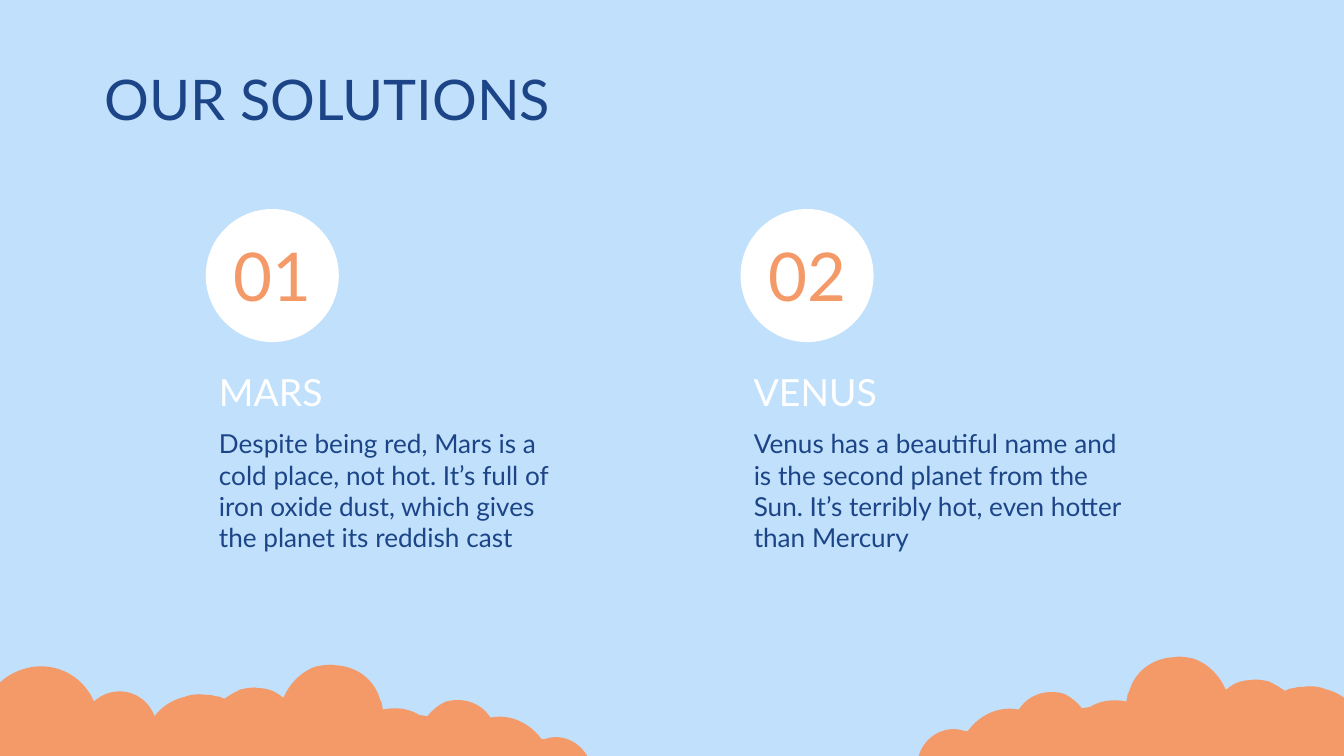
from dataclasses import dataclass
from math import cos, radians, sin

from lxml.etree import SubElement
from pptx import Presentation
from pptx.dml.color import RGBColor
from pptx.enum.shapes import MSO_SHAPE as Shape
from pptx.enum.text import MSO_ANCHOR as Anchor, PP_ALIGN as Align
from pptx.oxml.ns import qn
from pptx.util import Pt

COLORS = {"sky": "C1E0FB", "navy": "1C4587", "orange": "F49968", "white": "FFFFFF"}
FONT = "Lato"
INSET = 7.2
CIRCLE = 71.3


@dataclass(frozen=True)
class Solution:
    number: str
    name: str
    body: str
    left: float
    name_width: float
    body_width: float


@dataclass(frozen=True)
class Cloud:
    left: float
    top: float
    angle: float
    flip: int  # 1 as outlined, -1 mirrored


SOLUTIONS = [
    Solution("01", "MARS",
             "Despite being red, Mars is a cold place, not hot. It’s full of "
             "iron oxide dust, which gives the planet its reddish cast",
             110.2, 77, 206.6),
    Solution("02", "VENUS",
             "Venus has a beautiful name and is the second planet from the Sun. "
             "It’s terribly hot, even hotter than Mercury",
             396.7, 89.3, 215.3),
]

CLOUD_WIDTH, CLOUD_HEIGHT = 305.3, 160.6
RIGHT_CLOUD = Cloud(504, 313.2, 18, 1)
LEFT_CLOUD = Cloud(-0.7, 317.5, 342, -1)

# Cloud outline as it stands when tilted, in hundredths of an inch.
# Six numbers are a Bézier curve, two are a straight line.
OUTLINE_UNIT = 0.72
OUTLINE_TILT = 18
OUTLINE_CENTER = (912, 546.5)
OUTLINE_START = (1106, 492)
OUTLINE = [
    (1107, 492, 1108, 492, 1109, 493), (1130, 501, 1142, 525, 1135, 547),
    (1079, 718), (702, 595),
    (688, 590, 680, 575, 684, 561), (689, 547, 704, 539, 718, 544),
    (719, 544, 720, 544, 720, 544), (729, 532, 743, 525, 758, 528),
    (766, 516, 779, 513, 791, 516), (796, 518, 801, 522, 805, 527),
    (807, 527, 809, 526, 811, 526), (819, 521, 829, 520, 838, 522),
    (838, 521, 839, 519, 839, 517), (839, 517, 839, 516, 840, 515),
    (844, 500, 857, 490, 873, 489), (878, 488, 883, 489, 888, 490),
    (897, 493, 905, 500, 910, 509), (911, 510, 911, 512, 912, 513),
    (913, 513, 914, 512, 915, 511), (919, 508, 925, 506, 931, 506),
    (934, 505, 937, 506, 939, 506), (941, 506, 942, 507, 944, 507),
    (948, 509, 952, 511, 956, 514), (958, 513, 960, 512, 963, 512),
    (965, 511, 968, 511, 970, 511), (976, 510, 982, 511, 987, 513),
    (995, 515, 1003, 520, 1008, 527), (1013, 513, 1028, 505, 1043, 510),
    (1046, 511, 1050, 513, 1053, 516), (1062, 495, 1085, 485, 1106, 492),
]


def rgb(name: str) -> RGBColor:
    return RGBColor.from_string(COLORS[name])


def paint(sp, color: str) -> None:
    sp.fill.solid()
    sp.fill.fore_color.rgb = rgb(color)
    sp.line.fill.background()
    sp.shadow.inherit = False


def level_points(numbers: tuple, flip: int) -> list[tuple[int, int]]:
    """Turn tilted outline numbers into points in the level cloud's box."""
    turn = radians(OUTLINE_TILT)
    points = []
    for x, y in zip(numbers[::2], numbers[1::2]):
        dx = (x - OUTLINE_CENTER[0]) * OUTLINE_UNIT
        dy = (y - OUTLINE_CENTER[1]) * OUTLINE_UNIT
        points.append((Pt(CLOUD_WIDTH / 2 + flip * (dx * cos(turn) + dy * sin(turn))),
                       Pt(CLOUD_HEIGHT / 2 - dx * sin(turn) + dy * cos(turn))))
    return points


def add_cloud(slide, cloud: Cloud) -> None:
    start = level_points(OUTLINE_START, cloud.flip)
    segments = [level_points(numbers, cloud.flip) for numbers in OUTLINE]
    builder = slide.shapes.build_freeform(*start[0])
    builder.add_line_segments([points[-1] for points in segments], close=True)
    sp = builder.convert_to_shape()
    sp.left, sp.top = Pt(cloud.left), Pt(cloud.top)
    sp.width, sp.height = Pt(CLOUD_WIDTH), Pt(CLOUD_HEIGHT)
    sp.rotation = cloud.angle
    paint(sp, "orange")

    # Round the bumps: rewrite the outline with curves
    outline = next(sp._element.iter(qn("a:path")))
    for child in list(outline):
        outline.remove(child)
    outline.set("w", str(sp.width))
    outline.set("h", str(sp.height))
    for i, points in enumerate([start] + segments):
        tag = "a:moveTo" if i == 0 else "a:lnTo" if len(points) == 1 else "a:cubicBezTo"
        step = SubElement(outline, qn(tag))
        for x, y in points:
            SubElement(step, qn("a:pt"), x=str(int(x)), y=str(int(y)))
    SubElement(outline, qn("a:close"))


def add_text(slide, text: str, left: float, top: float, width: float, height: float,
             size: float, color: str, anchor=Anchor.BOTTOM, align=Align.LEFT) -> None:
    sp = slide.shapes.add_textbox(Pt(left), Pt(top), Pt(width), Pt(height))
    tf = sp.text_frame
    tf.word_wrap = True
    tf.vertical_anchor = anchor
    tf.margin_left = tf.margin_right = tf.margin_top = tf.margin_bottom = Pt(INSET)
    p = tf.paragraphs[0]
    p.alignment = align
    r = p.add_run()
    r.text = text
    r.font.name = FONT
    r.font.size = Pt(size)
    r.font.color.rgb = rgb(color)


def add_solution(slide, item: Solution) -> None:
    # Numbered circle
    sp = slide.shapes.add_shape(Shape.OVAL, Pt(item.left), Pt(112), Pt(CIRCLE), Pt(CIRCLE))
    paint(sp, "white")
    number_width = 62.6
    add_text(slide, item.number, item.left + (CIRCLE - number_width) / 2, 125,
             number_width, 51.1, 36, "orange", align=Align.CENTER)
    # Name and description
    add_text(slide, item.name, item.left, 177.8, item.name_width, 51.1, 20, "white")
    add_text(slide, item.body, item.left, 221.9, item.body_width, 87.8, 14, "navy",
             anchor=Anchor.TOP)


def main() -> None:
    prs = Presentation()
    prs.slide_width, prs.slide_height = Pt(720), Pt(405)
    slide = prs.slides.add_slide(prs.slide_layouts[6])
    slide.background.fill.solid()
    slide.background.fill.fore_color.rgb = rgb("sky")

    # Title
    add_text(slide, "OUR SOLUTIONS", 49, 32.4, 363.6, 45.4, 30, "navy")

    # Clouds along the bottom
    for cloud in (RIGHT_CLOUD, LEFT_CLOUD):
        add_cloud(slide, cloud)

    # Two solutions
    for item in SOLUTIONS:
        add_solution(slide, item)

    prs.save("out.pptx")


if __name__ == "__main__":
    main()
